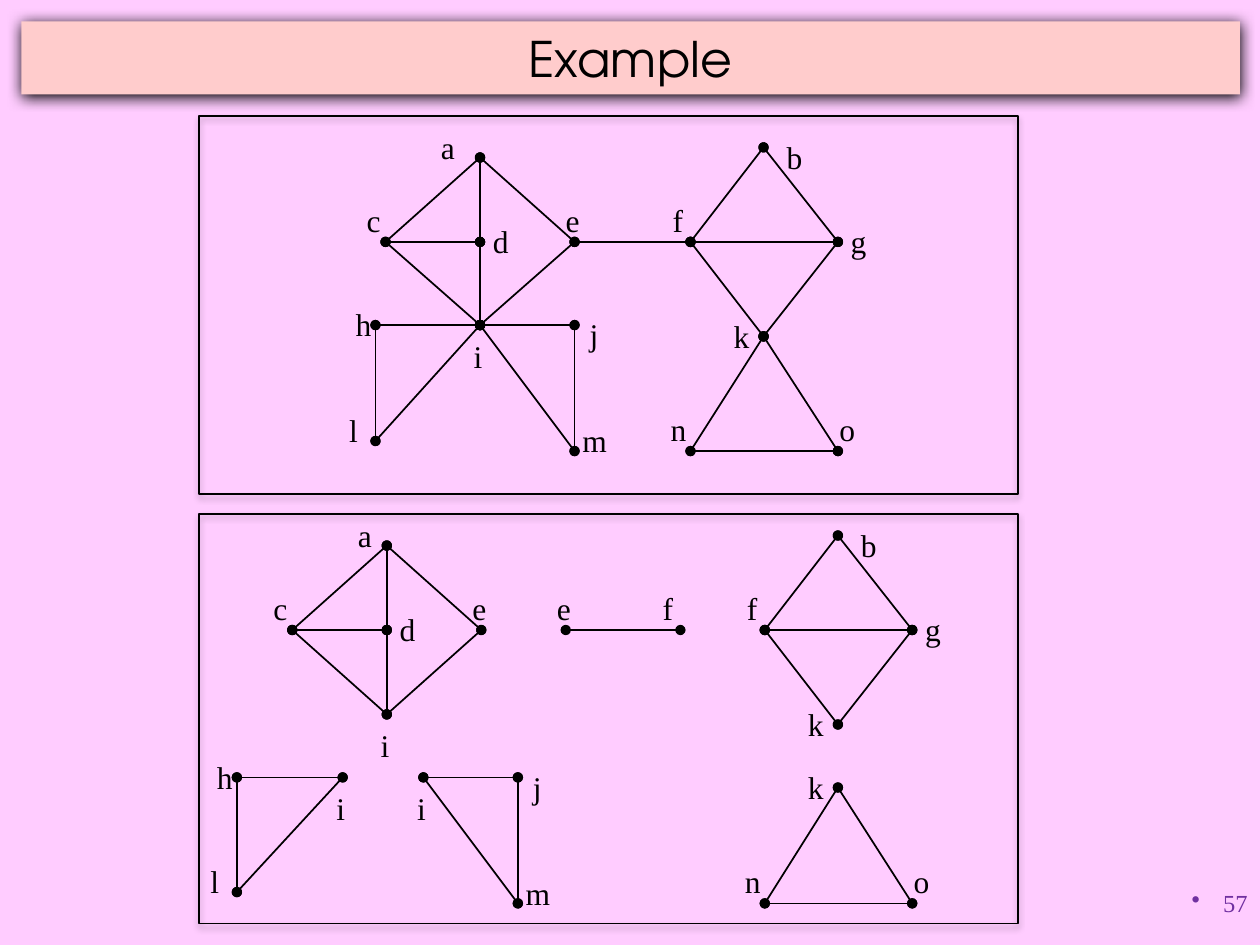
from dataclasses import dataclass
from typing import NamedTuple

from lxml import etree
from pptx import Presentation
from pptx.dml.color import RGBColor
from pptx.enum.shapes import MSO_CONNECTOR, MSO_SHAPE
from pptx.enum.text import MSO_ANCHOR, MSO_AUTO_SIZE, PP_ALIGN
from pptx.oxml.ns import qn
from pptx.util import Emu, Inches, Pt

RECT, LINE = MSO_SHAPE.RECTANGLE, MSO_CONNECTOR.STRAIGHT
CENTER, RIGHT = PP_ALIGN.CENTER, PP_ALIGN.RIGHT
MIDDLE = MSO_ANCHOR.MIDDLE
NO_FIT, FIT_SHAPE = MSO_AUTO_SIZE.NONE, MSO_AUTO_SIZE.SHAPE_TO_FIT_TEXT

PINK = RGBColor(0xFF, 0xCC, 0xFF)
PEACH = RGBColor(0xFF, 0xCC, 0xCC)
BLACK = RGBColor(0, 0, 0)
PURPLE = RGBColor(0x70, 0x30, 0xA0)
SERIF, TITLE_FONT = "Times New Roman", "TeX Gyre Adventor"


class Label(NamedTuple):
    """Box of a vertex name: offset from the vertex, and width."""
    dx: float
    dy: float
    width: float


class Vertex(NamedTuple):
    x: float
    y: float
    shift: float = 0  # extra sideways move of the name


class Shadow(NamedTuple):
    opacity: int
    blur: float
    distance: float


@dataclass
class Graph:
    vertices: dict[str, Vertex]
    edges: str  # pairs of vertex names


@dataclass
class Panel:
    top: float
    height: float
    graphs: list[Graph]


LABELS = {
    "a": Label(-0.33, -0.33, 0.31), "b": Label(0.08, -0.17, 0.33),
    "c": Label(-0.25, -0.42, 0.31), "d": Label(0, -0.25, 0.33),
    "e": Label(-0.17, -0.42, 0.31), "f": Label(-0.24, -0.42, 0.28),
    "g": Label(0, -0.25, 0.33), "h": Label(-0.26, -0.25, 0.33),
    "i": Label(-0.15, 0, 0.27), "j": Label(0.02, -0.17, 0.27),
    "k": Label(-0.34, -0.25, 0.33), "l": Label(-0.31, -0.33, 0.27),
    "m": Label(-0.04, -0.33, 0.4), "n": Label(-0.26, -0.42, 0.33),
    "o": Label(-0.09, -0.42, 0.33),
}

# Edges of each biconnected component
ACDEI, HIL, IJM = "ad dc ca ae ei id ci", "ih hl li", "ij jm mi"
EF, BFGK, KNO = "ef", "fb bg gk kf fg", "ko on nk"

WHOLE = Graph({
    "a": Vertex(3.81, 1.25, -0.08), "c": Vertex(3.06, 1.92),
    "d": Vertex(3.81, 1.92), "e": Vertex(4.56, 1.92),
    "i": Vertex(3.81, 2.58), "h": Vertex(2.98, 2.58),
    "l": Vertex(2.98, 3.5), "j": Vertex(4.56, 2.58),
    "m": Vertex(4.56, 3.58), "f": Vertex(5.48, 1.92),
    "b": Vertex(6.06, 1.17), "g": Vertex(6.65, 1.92),
    "k": Vertex(6.06, 2.67), "n": Vertex(5.48, 3.58),
    "o": Vertex(6.65, 3.58),
}, " ".join([ACDEI, HIL, IJM, EF, BFGK, KNO]))

COMPONENTS = [
    Graph({"a": Vertex(3.07, 4.33), "c": Vertex(2.32, 5), "d": Vertex(3.07, 5),
           "e": Vertex(3.82, 5), "i": Vertex(3.07, 5.67)}, ACDEI),
    Graph({"h": Vertex(1.88, 6.17), "i": Vertex(2.72, 6.17),
           "l": Vertex(1.88, 7.08)}, HIL),
    Graph({"i": Vertex(3.36, 6.17), "j": Vertex(4.11, 6.17),
           "m": Vertex(4.11, 7.17)}, IJM),
    Graph({"e": Vertex(4.49, 5), "f": Vertex(5.4, 5)}, EF),
    Graph({"b": Vertex(6.65, 4.25), "f": Vertex(6.07, 5),
           "g": Vertex(7.24, 5), "k": Vertex(6.65, 5.75)}, BFGK),
    Graph({"k": Vertex(6.65, 6.25), "n": Vertex(6.07, 7.17),
           "o": Vertex(7.24, 7.17)}, KNO),
]

PANELS = [Panel(0.92, 3, [WHOLE]), Panel(4.08, 3.25, COMPONENTS)]


def set_all(target, values: dict) -> None:
    for name, value in values.items():
        setattr(target, name, value)


def write(tf, text: str, align, font: str, size: float, color: RGBColor):
    p = tf.paragraphs[0]
    p.alignment = align
    r = p.add_run()
    r.text = text
    set_all(r.font, {"name": font, "size": Pt(size)})
    r.font.color.rgb = color
    return p


def add_shadow(sp, shadow: Shadow) -> None:
    effects = etree.SubElement(sp._element.spPr, qn("a:effectLst"))
    outer = etree.SubElement(
        effects, qn("a:outerShdw"), blurRad=str(Pt(shadow.blur)),
        dist=str(Pt(shadow.distance)), dir="5400000", rotWithShape="0")
    color = etree.SubElement(outer, qn("a:srgbClr"), val=str(BLACK))
    etree.SubElement(color, qn("a:alpha"), val=str(shadow.opacity * 1000))


def add_edge(shapes, start: Vertex, end: Vertex) -> None:
    c = shapes.add_connector(LINE, Inches(start.x), Inches(start.y),
                             Inches(end.x), Inches(end.y))
    c.line.color.rgb = BLACK
    c.line.width = Pt(1)
    ln = c.line._get_or_add_ln()
    for tag in ("a:headEnd", "a:tailEnd"):
        etree.SubElement(ln, qn(tag), type="oval")
    etree.SubElement(c._element.spPr, qn("a:effectLst"))


def add_label(shapes, name: str, v: Vertex) -> None:
    label = LABELS[name]
    tb = shapes.add_textbox(Inches(v.x + label.dx + v.shift), Inches(v.y + label.dy),
                            Inches(label.width), Inches(0.41))
    set_all(tb.text_frame, {"word_wrap": False, "auto_size": FIT_SHAPE,
                            "margin_bottom": Inches(0.01)})
    p = write(tb.text_frame, name, CENTER, SERIF, 18, BLACK)
    p.line_spacing = 1.15


def add_panel(s, panel: Panel) -> None:
    shapes = s.shapes.add_group_shape().shapes
    for graph in panel.graphs:
        for start, end in graph.edges.split():
            add_edge(shapes, graph.vertices[start], graph.vertices[end])
        for name, vertex in graph.vertices.items():
            add_label(shapes, name, vertex)
    frame = shapes.add_shape(RECT, Inches(1.58), Inches(panel.top),
                             Inches(6.5), Inches(panel.height))
    frame.fill.background()
    frame.line.color.rgb = BLACK
    frame.line.width = Pt(1)
    add_shadow(frame, Shadow(32, 3.5, 2.2))


def add_title(s, text: str) -> None:
    title = s.shapes.title
    set_all(title, {"left": Inches(0.17), "top": Inches(0.17),
                    "width": Inches(9.67), "height": Inches(0.58)})
    title.fill.solid()
    title.fill.fore_color.rgb = PEACH
    add_shadow(title, Shadow(100, 8.5, 1))
    set_all(title.text_frame, {"auto_size": NO_FIT, "vertical_anchor": MIDDLE})
    write(title.text_frame, text, CENTER, TITLE_FONT, 28, BLACK)


def add_page_number(s, number: str) -> None:
    tb = s.shapes.add_textbox(Inches(7.92), Inches(7), Inches(2.08), Inches(0.5))
    tb.text_frame.word_wrap = True
    p = write(tb.text_frame, number, RIGHT, SERIF, 14, PURPLE)
    pPr = p._p.get_or_add_pPr()
    indent = Emu(Inches(0.25))
    pPr.set("marL", str(indent))
    pPr.set("indent", str(-indent))
    etree.SubElement(pPr, qn("a:buChar"), char="•")


def main() -> None:
    prs = Presentation()
    set_all(prs, {"slide_width": Inches(10), "slide_height": Inches(7.5)})
    s = prs.slides.add_slide(prs.slide_layouts[5])
    s.background.fill.solid()
    s.background.fill.fore_color.rgb = PINK

    add_title(s, "Example")
    for panel in PANELS:
        add_panel(s, panel)
    add_page_number(s, "57")
    prs.save("out.pptx")


if __name__ == "__main__":
    main()
